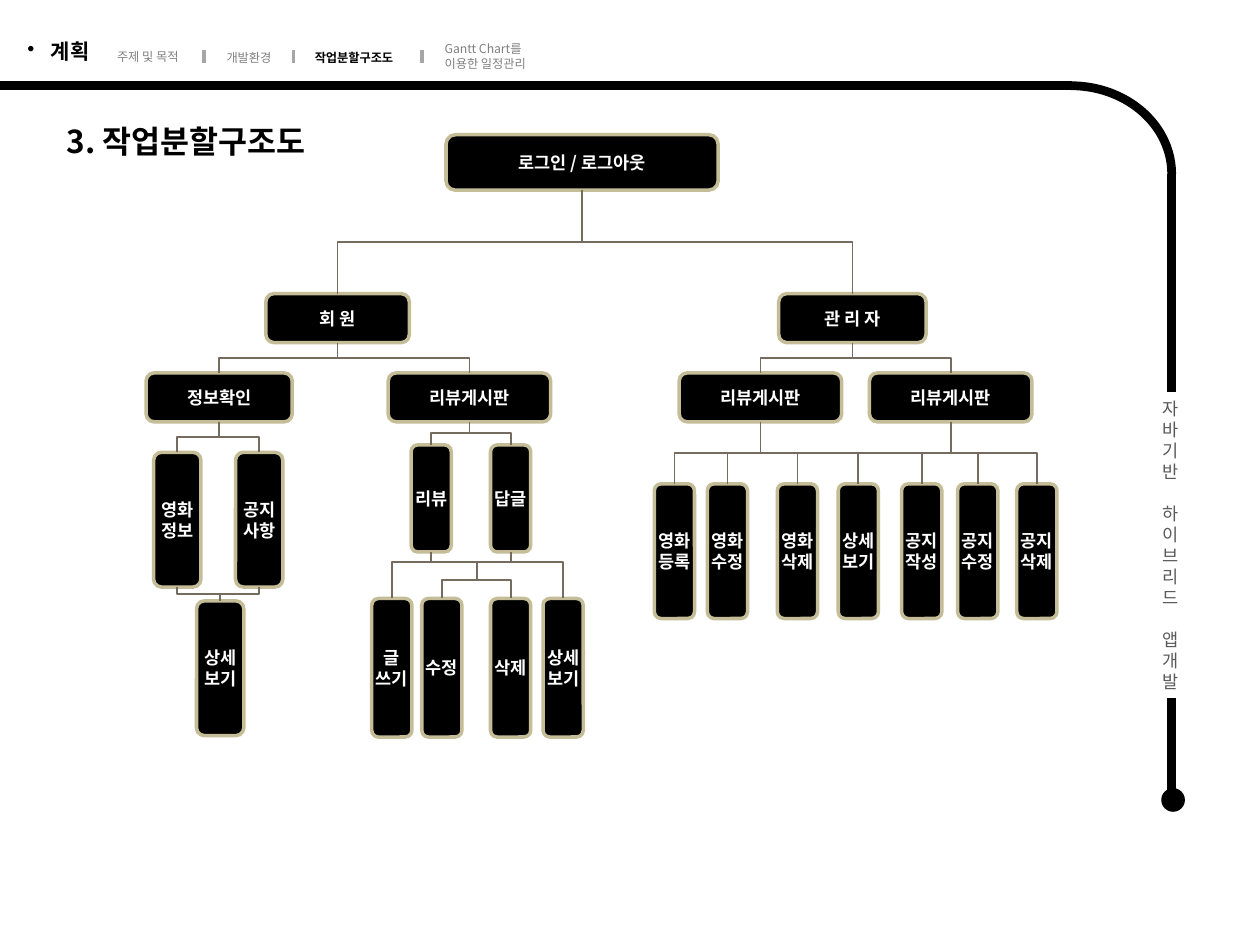
from lxml.etree import SubElement
from pptx import Presentation
from pptx.dml.color import RGBColor
from pptx.enum.shapes import MSO_CONNECTOR as CX, MSO_SHAPE as SHAPE
from pptx.enum.text import MSO_ANCHOR, MSO_AUTO_SIZE, PP_ALIGN
from pptx.oxml.ns import qn
from pptx.util import Pt

FONT = "Noto Sans CJK KR"
BLACK, WHITE, GREY, TAN, BROWN = "000000", "FFFFFF", "808080", "C4BD97", "756B5F"

HEADINGS = [
    ("주제 및 목적", 59.8, 24.5, 62.6, 15.8, GREY, False),
    ("개발환경", 122.4, 25.2, 62.6, 15.8, GREY, False),
    ("작업분할구조도", 172.8, 25.2, 67.7, 15.8, BLACK, True),
    ("Gantt Chart를\n이용한 일정관리", 247, 20.2, 73.4, 24.5, GREY, False),
]
SEPARATORS = [116.6, 167.8, 241.2]
SIDE_WORDS = ["자바기반", "하이브리드", "앱개발"]
FRAME_LINES = [(0, 49, 612.7, 49), (669.6, 224, 669.6, 99.4), (669.6, 457.2, 669.6, 399)]

ROWS = [
    (77, 31.7, [("login", "로그인 / 로그아웃", 254.9, 155.5)]),
    (167.8, 28, [("member", "회 원", 151.9, 82), ("admin", "관 리 자", 445, 84.2)]),
    (213.1, 28, [("info", "정보확인", 83.5, 83.5), ("board", "리뷰게시판", 221.8, 92.9),
                 ("board_a", "리뷰게시판", 388.1, 92.9), ("board_b", "리뷰게시판", 496.8, 92.9)]),
    (258.5, 77, [("movie", "영화정보", 87.8, 27), ("notice", "공지사항", 134.6, 27)]),
    (343.4, 77, [("info_view", "상세보기", 112.3, 27)]),
    (254.2, 61.2, [("review", "리뷰", 234.9, 23), ("reply", "답글", 280.3, 23)]),
    (342, 79.2, [("write", "글\n쓰기", 212.4, 23), ("edit", "수정", 241, 23),
                 ("delete", "삭제", 280.3, 23), ("view", "상세보기", 310.3, 23)]),
    (276.5, 77, [("movie_add", "영화등록", 373.9, 23), ("movie_edit", "영화수정", 404.2, 23),
                 ("movie_del", "영화삭제", 444.2, 23), ("movie_view", "상세보기", 479, 23),
                 ("notice_add", "공지작성", 515.2, 23), ("notice_edit", "공지수정", 547.2, 23),
                 ("notice_del", "공지삭제", 581, 23)]),
]
TREE = {
    "login": ["member", "admin"],
    "member": ["info", "board"],
    "admin": ["board_a", "board_b"],
    "info": ["movie", "notice"],
    "movie": ["info_view"],
    "notice": ["info_view"],
    "board": ["review", "reply"],
    "board_a": ["movie_add", "movie_edit", "movie_del", "movie_view"],
    "board_b": ["movie_view", "notice_add", "notice_edit", "notice_del"],
}
HUB = (272.5, 321.2)
HUB_CORNERS = [("review", 2), ("reply", 2), ("write", 0), ("view", 0)]
HUB_DROPS = ["edit", "delete"]

prs = Presentation()
prs.slide_width, prs.slide_height = Pt(720), Pt(540)
s = prs.slides.add_slide(prs.slide_layouts[6])


def rgb(value):
    return RGBColor.from_string(value)


def style_text(tf, size, color, bold=False, align=PP_ALIGN.LEFT):
    for p in tf.paragraphs:
        p.alignment = align
        for r in p.runs:
            r.font.size, r.font.bold, r.font.name = Pt(size), bold, FONT
            r.font.color.rgb = rgb(color)
            SubElement(r.font._element, qn("a:ea"), typeface=FONT)


def add_text(text, x, y, w, h, size, color, bold=False):
    tf = s.shapes.add_textbox(Pt(x), Pt(y), Pt(w), Pt(h)).text_frame
    tf.word_wrap = True
    tf.auto_size = MSO_AUTO_SIZE.SHAPE_TO_FIT_TEXT
    tf.text = text
    style_text(tf, size, color, bold)
    return tf


def add_shape(kind, x, y, w, h, fill, line, width):
    sp = s.shapes.add_shape(kind, Pt(x), Pt(y), Pt(w), Pt(h))
    sp.shadow.inherit = False
    if fill:
        sp.fill.solid()
        sp.fill.fore_color.rgb = rgb(fill)
    else:
        sp.fill.background()
    sp.line.color.rgb, sp.line.width = rgb(line), Pt(width)
    return sp


def add_line(kind, x1, y1, x2, y2, color, width):
    c = s.shapes.add_connector(kind, Pt(x1), Pt(y1), Pt(x2), Pt(y2))
    c.line.color.rgb, c.line.width = rgb(color), Pt(width)
    SubElement(c._element.spPr, qn("a:effectLst"))
    return c


def add_drop(x1, y1, child, parent=None):
    c = add_line(CX.ELBOW, x1, y1, x1, y1, BROWN, 1)
    if parent is not None:
        c.begin_connect(parent, 2)
    c.end_connect(child, 0)
    dx, dy = c.end_x - c.begin_x, c.end_y - c.begin_y
    mid_x, mid_y = (c.begin_x + c.end_x) // 2, (c.begin_y + c.end_y) // 2
    c.left, c.top = mid_x - abs(dy) // 2, mid_y - abs(dx) // 2
    c.width, c.height = abs(dy), abs(dx)
    xfrm = c._element.spPr.find(qn("a:xfrm"))
    xfrm.set("rot", str((270 if dx > 0 else 90) * 60000))
    xfrm.set("flipH", "1" if dx > 0 else "0")
    xfrm.set("flipV", "0")


def add_corner(x1, y1, box, side):
    c = add_line(CX.ELBOW, x1, y1, x1, y1, BROWN, 1)
    c.end_connect(box, side)
    c._element.spPr.find(qn("a:prstGeom")).set("prst", "bentConnector2")


for ends in FRAME_LINES:
    add_line(CX.STRAIGHT, *ends, BLACK, 5)
add_shape(SHAPE.ARC, 554.4, 49, 115.2, 100.8, None, BLACK, 5)
add_shape(SHAPE.OVAL, 664.6, 451.4, 11.5, 11.5, BLACK, BLACK, 2)

side = add_text("\n".join("\n".join(word) for word in SIDE_WORDS),
                657.4, 224, 28, 177, 10, "595959")
start = 0
for word in SIDE_WORDS[:-1]:
    start += len(word)
    side.paragraphs[start].space_before = Pt(12)

for text, x, y, w, h, color, bold in HEADINGS:
    add_text(text, x, y, w, h, 7, color, bold)
for x in SEPARATORS:
    add_line(CX.STRAIGHT, x, 36, x, 28.8, "A6A6A6", 2)

p = add_text("계획", 8.6, 18.7, 62.6, 21.6, 12, BLACK, True).paragraphs[0]
pPr = p._p.get_or_add_pPr()
pPr.set("marL", str(Pt(13.5)))
pPr.set("indent", str(-Pt(13.5)))
SubElement(pPr, qn("a:buChar"), char="•")

boxes = {}
for top, height, row in ROWS:
    for key, label, x, w in row:
        sp = boxes[key] = add_shape(SHAPE.ROUNDED_RECTANGLE, x, top, w, height, BLACK, TAN, 2)
        tf = sp.text_frame
        tf.margin_left = tf.margin_right = tf.margin_top = tf.margin_bottom = 0
        tf.vertical_anchor = MSO_ANCHOR.MIDDLE
        tf.text = label
        style_text(tf, 10, WHITE, True, PP_ALIGN.CENTER)

for parent, children in TREE.items():
    for child in children:
        add_drop(0, 0, boxes[child], boxes[parent])
for key, side_index in HUB_CORNERS:
    add_corner(*HUB, boxes[key], side_index)
for key in HUB_DROPS:
    add_drop(*HUB, boxes[key])

add_text("3. 작업분할구조도", 31, 66.2, 170, 28.8, 18, BLACK, True)
prs.save("out.pptx")
